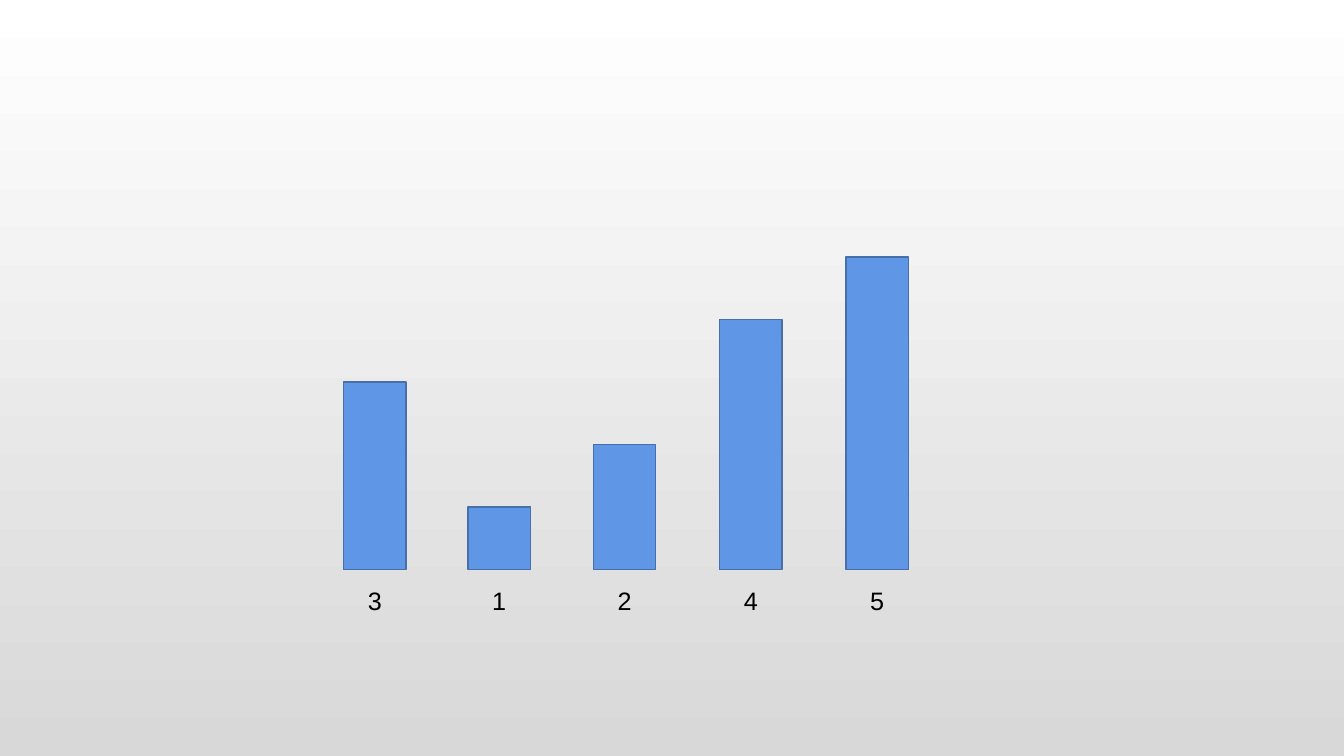
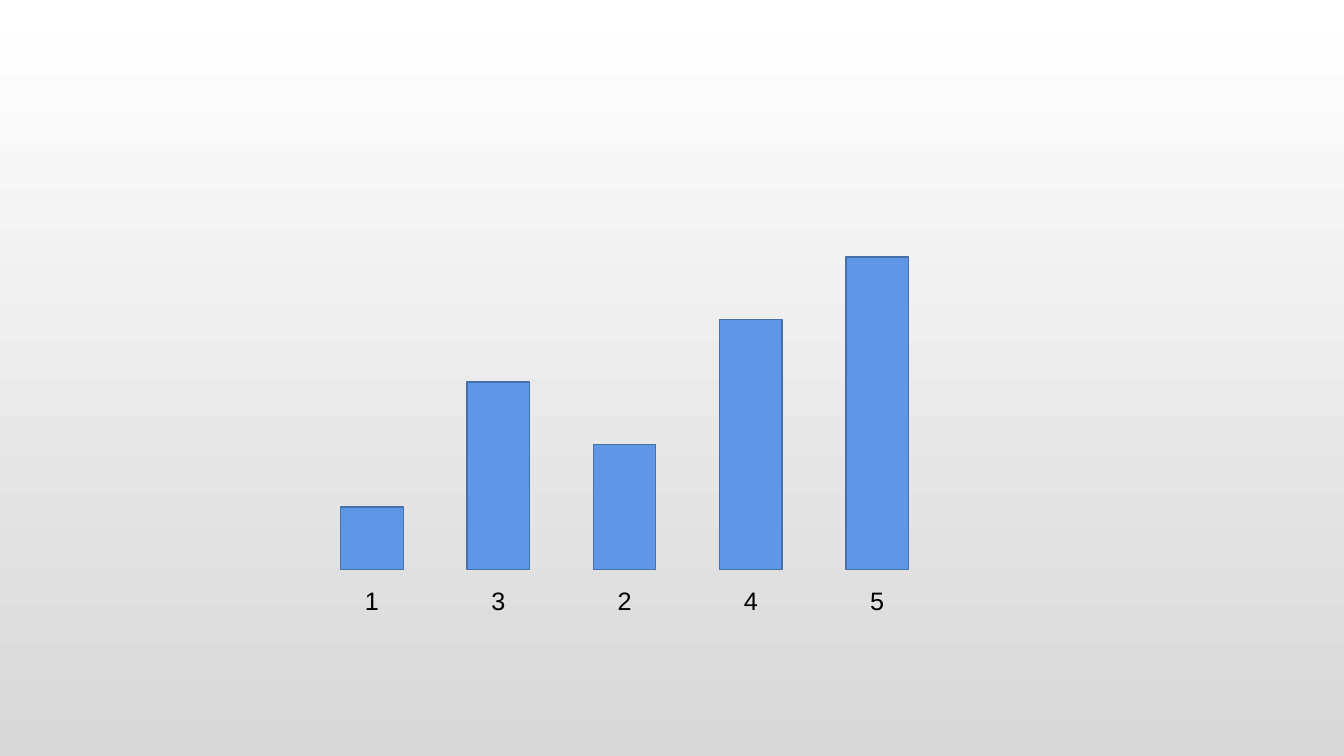
"""Build two slides that show one swap in sorting a row of bars."""
from dataclasses import dataclass

from pptx import Presentation
from pptx.dml.color import RGBColor
from pptx.enum.shapes import MSO_SHAPE
from pptx.enum.text import MSO_AUTO_SIZE, PP_ALIGN
from pptx.util import Pt

RECTANGLE = MSO_SHAPE.RECTANGLE
CENTER = PP_ALIGN.CENTER
GROW = MSO_AUTO_SIZE.SHAPE_TO_FIT_TEXT

BAR_ROWS = [
    [3, 1, 2, 4, 5],
    [1, 3, 2, 4, 5],
]
ROW_NUDGES = [
    {0: 2.1, 1: 0.6},
    {},
]


@dataclass(frozen=True)
class Theme:
    """Colours and type shared by the slides."""
    background_top: RGBColor = RGBColor.from_string("FFFFFF")
    background_bottom: RGBColor = RGBColor.from_string("D8D8D8")
    bar_fill: RGBColor = RGBColor.from_string("6096E6")
    bar_line: RGBColor = RGBColor.from_string("476FAA")
    text: RGBColor = RGBColor.from_string("000000")
    font: str = "Arial"
    label_size: float = 18
    line_width: float = 1


THEME = Theme()
SLIDE_WIDTH, SLIDE_HEIGHT = 960, 540
FIRST_LEFT, PITCH = 243.4, 90.2
UNIT = 44.65
BASELINE = 406.8
LABEL_TOP, LABEL_WIDTH, LABEL_HEIGHT = 414.7, 24.5, 29


def set_background(master):
    """Give every slide the vertical gradient."""
    fill = master.background.fill
    fill.gradient()
    fill.gradient_angle = 270
    colors = (THEME.background_top, THEME.background_bottom)
    for stop, color in zip(fill.gradient_stops, colors):
        stop.color.rgb = color


def add_bar(slide, value, left):
    """Add a bar and its centred label as one group."""
    group = slide.shapes.add_group_shape()
    height = value * UNIT
    bar = group.shapes.add_shape(
        RECTANGLE, Pt(left), Pt(BASELINE - height), Pt(UNIT), Pt(height))
    bar.shadow.inherit = False
    bar.fill.solid()
    bar.fill.fore_color.rgb = THEME.bar_fill
    bar.line.color.rgb = THEME.bar_line
    bar.line.width = Pt(THEME.line_width)

    label_left = left + (UNIT - LABEL_WIDTH) / 2
    label = group.shapes.add_textbox(
        Pt(label_left), Pt(LABEL_TOP), Pt(LABEL_WIDTH), Pt(LABEL_HEIGHT))
    label.text_frame.word_wrap = False
    label.text_frame.auto_size = GROW
    paragraph = label.text_frame.paragraphs[0]
    paragraph.alignment = CENTER
    run = paragraph.add_run()
    run.text = str(value)
    run.font.name = THEME.font
    run.font.size = Pt(THEME.label_size)
    run.font.color.rgb = THEME.text


def main():
    """Build and save the presentation."""
    presentation = Presentation()
    presentation.slide_width = Pt(SLIDE_WIDTH)
    presentation.slide_height = Pt(SLIDE_HEIGHT)
    set_background(presentation.slide_master)
    blank_layout = presentation.slide_layouts[6]
    for values, nudges in zip(BAR_ROWS, ROW_NUDGES):
        slide = presentation.slides.add_slide(blank_layout)
        for column, value in enumerate(values):
            left = FIRST_LEFT + column * PITCH + nudges.get(column, 0)
            add_bar(slide, value, left)
    presentation.save("out.pptx")


if __name__ == "__main__":
    main()
